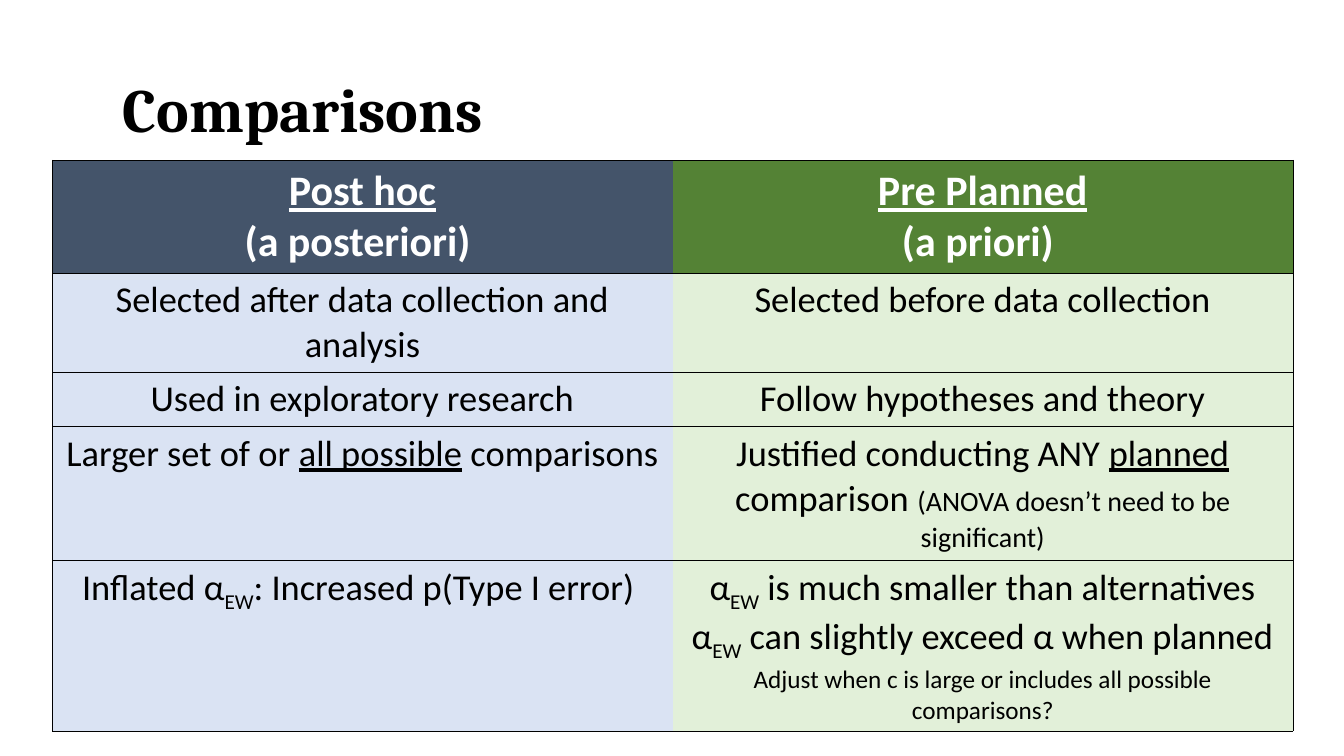
from lxml import etree
from pptx import Presentation
from pptx.dml.color import RGBColor
from pptx.enum.text import MSO_ANCHOR, MSO_AUTO_SIZE, PP_ALIGN
from pptx.oxml.ns import qn
from pptx.util import Inches, Pt

LEFT, CENTER = PP_ALIGN.LEFT, PP_ALIGN.CENTER
MIDDLE, NO_FIT = MSO_ANCHOR.MIDDLE, MSO_AUTO_SIZE.NONE
WIDE, HIGH = Inches(13.33), Inches(7.5)
TITLE_BOX = (0.084, 0.085, 0.771, 0.127)
TABLE_BOX = (0.039, 0.212, 0.923, 0.273)
COLORS = {"ink": "000000", "white": "FFFFFF"}
HEAD_FILLS = ("44546A", "548235")
BODY_FILLS = ("DAE3F3", "E2F0D9")
TITLE = {"name": "Cambria", "size": Pt(44), "bold": True}
HEAD = {"name": "Calibri", "size": Pt(30), "bold": True, "underline": False}
BODY = {"name": "Calibri", "size": Pt(26), "bold": False, "underline": False}
LINE = {"underline": True}
NOTE = {"size": Pt(20)}
SMALL = {"size": Pt(18)}
SUB = {"sub": True}
ALPHA = [("α", {}), ("EW", SUB)]

ROWS = [
    ([[("Post hoc", LINE)], [("(a posteriori) ", {})]],
     [[("Pre Planned", LINE)], [("(a priori) ", {})]]),
    ([[("Selected after data collection and analysis", {})]],
     [[("Selected before data collection", {})]]),
    ([[("Used in exploratory research", {})]],
     [[("Follow hypotheses and theory", {})]]),
    ([[("Larger set of or ", {}), ("all possible", LINE), (" comparisons", {})]],
     [[("Justified conducting ANY ", {}), ("planned", LINE), (" comparison ", {}),
       ("(ANOVA doesn’t need to be significant)", NOTE)]]),
    ([[("Inflated ", {}), *ALPHA, (": Increased p(Type I error) ", {})]],
     [[*ALPHA, (" is much smaller than alternatives", {})],
      [*ALPHA, (" can slightly exceed α when planned", {})],
      [("Adjust when c is large or includes all possible comparisons?", SMALL)]]),
]


def scale(box):
    """Turn shares of the slide into lengths."""
    return [int(share * side) for share, side in zip(box, (WIDE, HIGH) * 2)]


def add_run(para, text, style, color):
    """Add one formatted run to a paragraph."""
    run = para.add_run()
    run.text = text
    run.font.color.rgb = RGBColor.from_string(COLORS[color])
    for key, value in style.items():
        if key == "sub":
            run.font._element.set("baseline", "-25000")
        else:
            setattr(run.font, key, value)


def fill_text(frame, paras, base, color, align):
    """Write paragraphs of runs into a text frame."""
    for index, runs in enumerate(paras):
        para = frame.paragraphs[0] if index == 0 else frame.add_paragraph()
        para.alignment = align
        for text, style in runs:
            add_run(para, text, base | style, color)


def add_edges(cell, inner):
    """Rule a cell on all sides but the inner one."""
    props = cell._tc.get_or_add_tcPr()
    for side in ("lnL", "lnR", "lnT", "lnB"):
        edge = etree.SubElement(props, qn("a:" + side), w=str(Pt(0.5)))
        if side == inner:
            etree.SubElement(edge, qn("a:noFill"))
        else:
            paint = etree.SubElement(edge, qn("a:solidFill"))
            etree.SubElement(paint, qn("a:srgbClr"), val=COLORS["ink"])


def add_title(slide, text):
    """Place and format the slide title."""
    title = slide.shapes.title
    for key, value in zip(("left", "top", "width", "height"), scale(TITLE_BOX)):
        setattr(title, key, value)
    frame = title.text_frame
    form = {"vertical_anchor": MIDDLE, "auto_size": NO_FIT, "word_wrap": True}
    for key, value in form.items():
        setattr(frame, key, value)
    fill_text(frame, [[(text, {})]], TITLE, "ink", LEFT)
    frame.paragraphs[0].line_spacing = 0.9


def add_grid(slide, rows):
    """Add the table with a header row and two tinted columns."""
    shape = slide.shapes.add_table(len(rows), len(rows[0]), *scale(TABLE_BOX))
    table = shape.table
    table.horz_banding = False
    for r, row in enumerate(rows):
        base, color, fills = (BODY, "ink", BODY_FILLS) if r else (HEAD, "white", HEAD_FILLS)
        for c, paras in enumerate(row):
            cell = table.cell(r, c)
            add_edges(cell, "lnL" if c else "lnR")
            cell.fill.solid()
            cell.fill.fore_color.rgb = RGBColor.from_string(fills[c])
            fill_text(cell.text_frame, paras, base, color, CENTER)


def main():
    """Build and save the slide."""
    deck = Presentation()
    deck.slide_width, deck.slide_height = WIDE, HIGH
    slide = deck.slides.add_slide(deck.slide_layouts[5])
    add_title(slide, "Comparisons")
    add_grid(slide, ROWS)
    deck.save("out.pptx")


if __name__ == "__main__":
    main()
